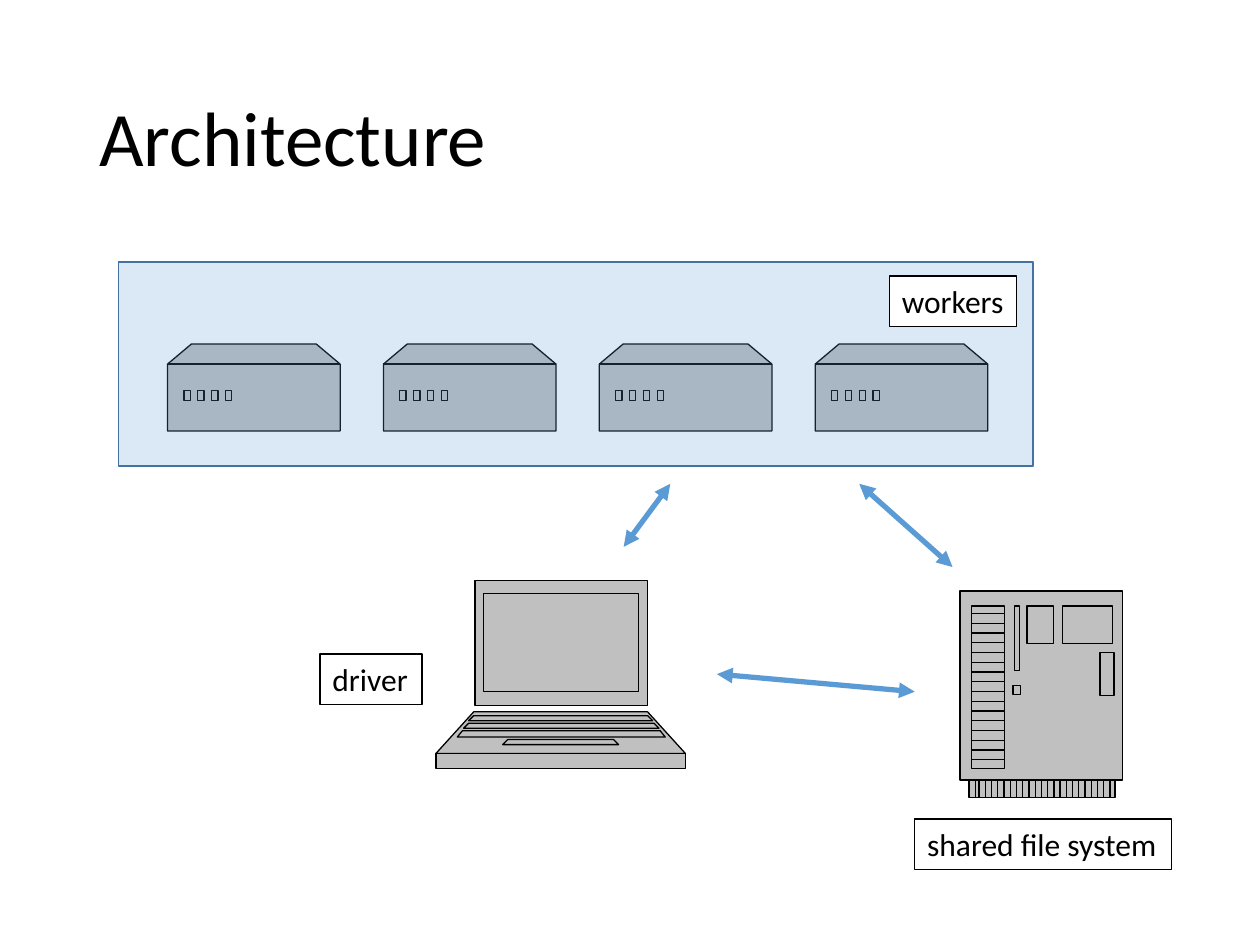
from copy import deepcopy
from dataclasses import dataclass
from typing import NamedTuple

from lxml.etree import SubElement as Sub
from pptx import Presentation
from pptx.dml.color import RGBColor as Rgb
from pptx.enum.shapes import MSO_CONNECTOR as Conn, MSO_SHAPE as Kind
from pptx.enum.text import MSO_ANCHOR as Anchor, MSO_AUTO_SIZE as Fit
from pptx.oxml.ns import qn
from pptx.util import Inches, Pt


@dataclass(frozen=True)
class Theme:
    font: str = "Calibri"
    title: int = 44
    label: int = 18
    ink: str = "000000"
    paper: str = "FFFFFF"
    metal: str = "C0C0C0"
    blue: str = "5B9BD5"
    edge: str = "43739E"
    thin: float = 0.75
    bold: float = 3


class Box(NamedTuple):
    x: float
    y: float
    w: float
    h: float


class Label(NamedTuple):
    text: str
    box: Box
    fill: str = ""


class Arrow(NamedTuple):
    x1: float
    y1: float
    x2: float
    y2: float


Outline = list[tuple[float, float]]
theme = Theme()


def emu(*sizes: float) -> list[int]:
    return [Inches(s) for s in sizes]


def paint(shape, fill: str, line: str, width: float) -> None:
    if fill:
        shape.fill.solid()
        shape.fill.fore_color.rgb = Rgb.from_string(fill)
    shape.line.color.rgb = Rgb.from_string(line)
    shape.line.width = Pt(width)


def write(shapes, text: str, box: Box, *, size: int, wrap: bool = False,
          anchor=Anchor.TOP, space: float = 1.0):
    shape = shapes.add_textbox(*emu(*box))
    frame = shape.text_frame
    frame.word_wrap = wrap
    frame.auto_size = Fit.NONE if wrap else Fit.SHAPE_TO_FIT_TEXT
    frame.vertical_anchor = anchor
    para = frame.paragraphs[0]
    para.line_spacing = space
    run = para.add_run()
    run.text = text
    run.font.name, run.font.size = theme.font, Pt(size)
    run.font.color.rgb = Rgb.from_string(theme.ink)
    return shape


def tag(shapes, label: Label) -> None:
    shape = write(shapes, label.text, label.box, size=theme.label)
    paint(shape, label.fill, theme.ink, theme.thin)


def rect(x1: float, y1: float, x2: float, y2: float) -> Outline:
    return [(x1, y1), (x2, y1), (x2, y2), (x1, y2)]


def keys(x1: float, x2: float, y: float, h: float = 0.04) -> Outline:
    """A row of keys, wider at its front edge."""
    return [(x1, y), (x1 - 0.04, y + h), (x2 + 0.04, y + h), (x2, y)]


def draw(shapes, outlines: list[Outline]) -> None:
    """One freeform; each outline is a separate path, so that fills overlap."""
    build = None
    for outline in outlines:
        first, *rest = [tuple(emu(*point)) for point in outline]
        if build is None:
            build = shapes.build_freeform(*first)
        else:
            build.move_to(*first)
        build.add_line_segments(rest, close=len(rest) > 1)
    shape = build.convert_to_shape()
    shape.shadow.inherit = False
    paint(shape, theme.metal, theme.ink, theme.thin)

    whole = next(shape.element.iter(qn("a:path")))
    steps = list(whole)
    for step in steps:
        whole.remove(step)
    blank, part = deepcopy(whole), None
    for step in steps:
        if step.tag == qn("a:moveTo"):
            part = deepcopy(blank)
            whole.addprevious(part)
        part.append(step)
    whole.getparent().remove(whole)


def rack(shapes, x: float) -> None:
    top, lid, base, end = 2.73, 2.89, 3.42, x + 1.37
    case = [(x, lid), (x + 0.19, top), (x + 1.18, top), (end, lid),
            (end, base), (x, base)]
    lights = [rect(x + s, 3.1, x + s + 0.05, 3.18)
              for s in (0.13 + 0.11 * i for i in range(4))]
    draw(shapes, [case, [(x, lid), (end, lid)], *lights])


def link(shapes, arrow: Arrow) -> None:
    line = shapes.add_connector(Conn.STRAIGHT, *emu(*arrow))
    line.line.color.rgb = Rgb.from_string(theme.blue)
    line.line.width = Pt(theme.bold)
    props = line.line._get_or_add_ln()
    for end in ("a:headEnd", "a:tailEnd"):
        Sub(props, qn(end), type="triangle")
    Sub(line.element.spPr, qn("a:effectLst"))


def driver(shapes) -> None:
    draw(shapes, [
        rect(3.77, 4.61, 5.14, 5.6),
        [(3.76, 5.65), (3.46, 5.98), (5.44, 5.98), (5.14, 5.65)],
        rect(3.46, 5.98, 5.44, 6.1),
        rect(3.84, 4.71, 5.07, 5.49),
        keys(3.76, 5.14, 5.68), keys(4.03, 4.87, 5.87),
        keys(3.72, 5.19, 5.74), keys(3.67, 5.24, 5.8, 0.05),
    ])
    tag(shapes, Label("driver", Box(2.54, 5.19, 0.81, 0.4)))


def workers(shapes) -> None:
    for i in range(4):
        rack(shapes, 1.33 + 5.14 / 3 * i)
    # Translucent pane over the racks
    pane = shapes.add_shape(Kind.RECTANGLE, *emu(0.94, 2.08, 7.26, 1.62))
    pane.shadow.inherit = False
    paint(pane, theme.blue, theme.edge, 1)
    tint = next(pane.element.spPr.iter(qn("a:srgbClr")))
    Sub(tint, qn("a:alpha"), val="22000")
    tag(shapes, Label("workers", Box(7.06, 2.19, 1.01, 0.4), theme.paper))


def storage(shapes) -> None:
    vents = [4.87 + 1.16 / 15 * i for i in range(16)]
    fins = [7.74] + [7.77 + 1.04 / 21 * i for i in range(22)]
    draw(shapes, [
        [(7.62, 4.69), (8.91, 4.69), (8.91, 6.19), (8.85, 6.19),
         (8.85, 6.33), (7.69, 6.33), (7.69, 6.19), (7.62, 6.19)],
        [(7.69, 6.19), (8.85, 6.19)],
        rect(7.71, 4.81, 7.97, 6.1),
        *[[(7.71, y), (7.97, y)] for y in vents],
        *[[(x, 6.19), (x, 6.33)] for x in fins],
        # Drives and switches
        rect(8.05, 4.81, 8.09, 5.32), rect(8.04, 5.44, 8.1, 5.51),
        rect(8.15, 4.81, 8.36, 5.11), rect(8.43, 4.81, 8.83, 5.11),
        rect(8.73, 5.18, 8.84, 5.52),
    ])
    tag(shapes, Label("shared file system", Box(7.26, 6.5, 2.04, 0.4)))


def main() -> None:
    deck = Presentation()
    deck.slide_width, deck.slide_height = emu(10, 7.5)
    shapes = deck.slides.add_slide(deck.slide_layouts[6]).shapes

    write(shapes, "Architecture", Box(0.69, 0.4, 8.62, 1.45),
          size=theme.title, wrap=True, anchor=Anchor.MIDDLE, space=0.9)

    # Each machine is grouped with its label
    for part in (driver, workers, storage):
        part(shapes.add_group_shape().shapes)

    # Traffic between the machines
    for arrow in (Arrow(6.82, 3.84, 7.56, 4.5), Arrow(5.69, 5.35, 7.26, 5.49),
                  Arrow(5.32, 3.84, 4.95, 4.34)):
        link(shapes, arrow)

    deck.save("out.pptx")


if __name__ == "__main__":
    main()
